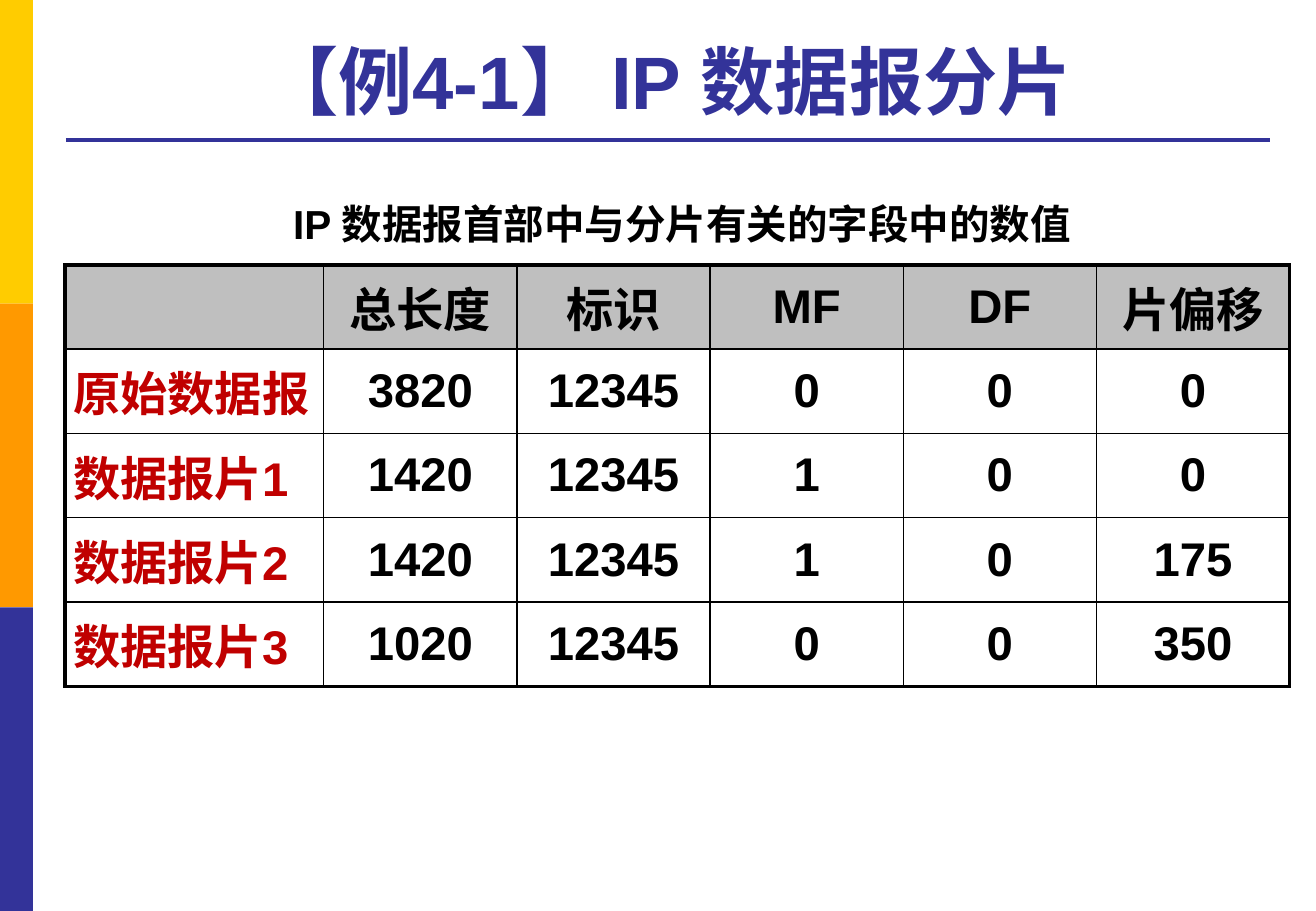
import dataclasses
import typing

import lxml.etree
import pptx
import pptx.dml.color
import pptx.enum.shapes
import pptx.enum.text
import pptx.oxml.ns
import pptx.util

Pt = pptx.util.Pt
Align = pptx.enum.text.PP_ALIGN
Anchor = pptx.enum.text.MSO_ANCHOR


@dataclasses.dataclass(frozen=True)
class Theme:
    font: str = "Arial"
    yellow: str = "FFCC00"
    orange: str = "FF9900"
    blue: str = "333399"
    black: str = "000000"
    red: str = "C00000"
    grey: str = "BFBFBF"
    title: float = 44
    cell: float = 28
    label: float = 24
    thick: float = 2.25
    thin: float = 1


@dataclasses.dataclass(frozen=True)
class Box:
    left: float
    top: float
    width: float
    height: float

    def points(self) -> tuple:
        return tuple(map(Pt, dataclasses.astuple(self)))


@dataclasses.dataclass(frozen=True)
class Bar:
    box: Box
    color: str


THEME = Theme()
PAGE = Box(0, 0, 780, 540)
BARS = [Bar(Box(0, row * 180, 19.5, 180), color)
        for row, color in enumerate((THEME.yellow, THEME.orange, THEME.blue))]
GRID = Box(38.5, 157, 725.9, 249.85)
FIRST = 153.4
ROWS = [
    ("", "总长度", "标识", "MF", "DF", "片偏移"),
    ("原始数据报", "3820", "12345", "0", "0", "0"),
    ("数据报片1", "1420", "12345", "1", "0", "0"),
    ("数据报片2", "1420", "12345", "1", "0", "175"),
    ("数据报片3", "1020", "12345", "0", "0", "350"),
]


def tint(color: str) -> pptx.dml.color.RGBColor:
    return pptx.dml.color.RGBColor.from_string(color)


def write(frame: typing.Any, text: str, *, size: float,
          color: str = THEME.black, align: typing.Any = Align.CENTER) -> None:
    frame.word_wrap = True
    para = frame.paragraphs[0]
    para.alignment = align
    run = para.add_run()
    run.text = text
    run.font.name = THEME.font
    run.font.size = Pt(size)
    run.font.bold = True
    run.font.color.rgb = tint(color)


def draw_bar(slide: typing.Any, bar: Bar) -> None:
    shape = slide.shapes.add_shape(
        pptx.enum.shapes.MSO_SHAPE.RECTANGLE, *bar.box.points())
    shape.shadow.inherit = False
    shape.fill.solid()
    shape.fill.fore_color.rgb = tint(bar.color)
    shape.line.fill.background()


def draw_rule(slide: typing.Any) -> None:
    rule = slide.shapes.add_connector(
        pptx.enum.shapes.MSO_CONNECTOR.STRAIGHT,
        Pt(39), Pt(82.8), Pt(753), Pt(82.8))
    rule.line.color.rgb = tint(THEME.blue)
    rule.line.width = Pt(THEME.thick)
    lxml.etree.SubElement(rule._element.spPr, pptx.oxml.ns.qn("a:effectLst"))


def edge(cell: typing.Any, side: str, width: float) -> None:
    """Add one cell border; sides must come in the order L, R, T, B."""
    name = pptx.oxml.ns.qn
    line = lxml.etree.SubElement(
        cell._tc.get_or_add_tcPr(), name("a:ln" + side), w=str(Pt(width)))
    fill = lxml.etree.SubElement(line, name("a:solidFill"))
    lxml.etree.SubElement(fill, name("a:srgbClr"), val=THEME.black)


def draw_grid(slide: typing.Any) -> None:
    count, span = len(ROWS), len(ROWS[0])
    table = slide.shapes.add_table(count, span, *GRID.points()).table
    table.first_row = table.horz_banding = False
    for col, column in enumerate(table.columns):
        column.width = Pt((GRID.width - FIRST) / (span - 1) if col else FIRST)
    for row, texts in enumerate(ROWS):
        table.rows[row].height = Pt(GRID.height / count)
        for col, text in enumerate(texts):
            cell = table.cell(row, col)
            cell.margin_left = cell.margin_right = Pt(5)
            cell.margin_top = cell.margin_bottom = Pt(0)
            cell.vertical_anchor = Anchor.MIDDLE
            outer = {"L": col == 0, "R": col == span - 1,
                     "T": row == 0, "B": row == count - 1}
            for side, rim in outer.items():
                edge(cell, side, THEME.thick if rim else THEME.thin)
            if row == 0:
                cell.fill.solid()
                cell.fill.fore_color.rgb = tint(THEME.grey)
            else:
                cell.fill.background()
            if text:
                write(cell.text_frame, text, size=THEME.cell,
                      color=THEME.black if col else THEME.red,
                      align=Align.CENTER if col else Align.JUSTIFY)


def main() -> None:
    deck = pptx.Presentation()
    deck.slide_width, deck.slide_height = Pt(PAGE.width), Pt(PAGE.height)
    slide = deck.slides.add_slide(deck.slide_layouts[5])
    for bar in BARS:
        draw_bar(slide, bar)
    draw_rule(slide)

    title = slide.shapes.title
    title.left, title.top, title.width, title.height = Box(
        39, 15, 714, 62.5).points()
    title.text_frame.auto_size = pptx.enum.text.MSO_AUTO_SIZE.NONE
    title.text_frame.vertical_anchor = Anchor.BOTTOM
    write(title.text_frame, "【例4-1】 IP 数据报分片",
          size=THEME.title, color=THEME.blue)

    draw_grid(slide)
    label = slide.shapes.add_textbox(*Box(106.5, 114.5, 595.5, 36).points())
    write(label.text_frame, "IP 数据报首部中与分片有关的字段中的数值",
          size=THEME.label)
    deck.save("out.pptx")


if __name__ == "__main__":
    main()
